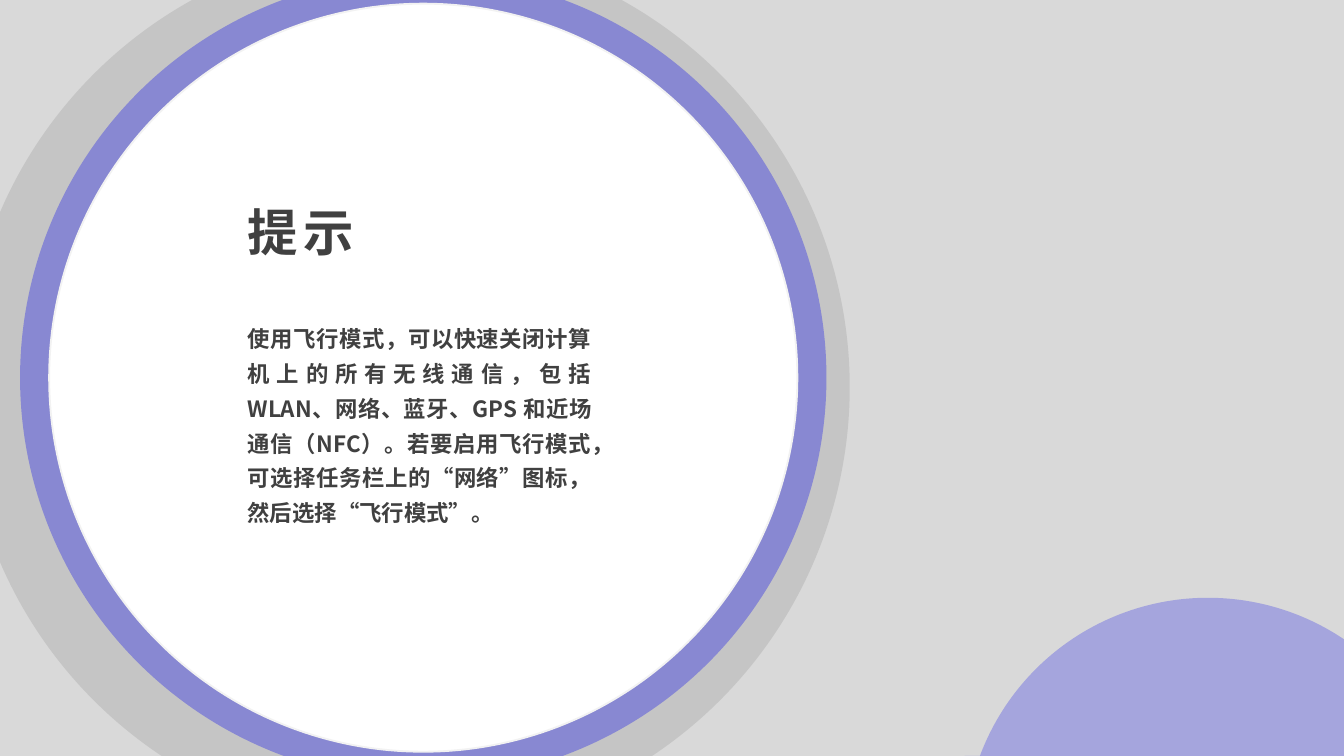
"""Build the flight mode tip slide with a large round panel."""
from dataclasses import dataclass
from math import acos, asin, cos, pi, sin, tan

from lxml.etree import SubElement
from pptx import Presentation
from pptx.dml.color import RGBColor as Color
from pptx.enum.shapes import MSO_SHAPE as Shape
from pptx.enum.text import PP_ALIGN as Align
from pptx.oxml.ns import qn
from pptx.util import Cm, Pt


@dataclass(frozen=True)
class Theme:
    font: str = "Noto Sans CJK SC"
    text: str = "404040"
    title_size: int = 27
    body_size: int = 12
    backdrop: str = "D9D9D9"
    shade: str = "7F7F7F"
    ring: str = "8888D2"
    corner: str = "A5A5DD"
    panel: str = "FFFFFF"
    panel_edge: str = "F2F2F2"


THEME = Theme()
WIDTH, HEIGHT = 25.4, 14.29

TITLE = "提示"
BODY = (
    "使用飞行模式，可以快速关闭计算机上的所有无线通信，包括WLAN、网络、蓝牙、GPS 和近场通信（NFC）。"
    "若要启用飞行模式，可选择任务栏上的“网络”图标，然后选择“飞行模式”。"
)
DISCS = [
    {"center": (7.69, 7.32), "radius": 8.37, "color": THEME.shade, "alpha": 22},
    {"center": (8, 7.14), "radius": 7.62, "color": THEME.ring},
    {"center": (22.83, 15.9), "radius": 4.6, "color": THEME.corner},
]
PANEL = {"center": (8, 7.14), "radius": 7.07}
TEXTS = [
    {"text": BODY, "at": (4.5, 5.89, 6.86, 5.38), "size": THEME.body_size,
     "align": Align.JUSTIFY, "line": 1.3, "wrap": True},
    {"text": TITLE, "at": (4.5, 3.71, 7.57, 1.3), "size": THEME.title_size,
     "align": Align.LEFT, "line": 1, "wrap": False, "tracking": 300},
]


def paint(shape, color, alpha=100):
    shape.shadow.inherit = False
    shape.fill.solid()
    shape.fill.fore_color.rgb = Color.from_string(color)
    shape.line.fill.background()
    if alpha < 100:
        tone = shape.fill._xPr.find(qn("a:solidFill"))[0]
        SubElement(tone, qn("a:alpha"), val=str(alpha * 1000))


def arc_angles(center, radius):
    angles = {step * pi / 4 for step in range(9)}
    for edge in (0, WIDTH):
        ratio = (edge - center[0]) / radius
        if abs(ratio) < 1:
            angles |= {acos(ratio), 2 * pi - acos(ratio)}
    for edge in (0, HEIGHT):
        ratio = (edge - center[1]) / radius
        if abs(ratio) < 1:
            angles |= {asin(ratio) % (2 * pi), pi - asin(ratio)}
    return sorted(angles)


def clipped_outline(center, radius):
    def on_circle(angle):
        return center[0] + radius * cos(angle), center[1] + radius * sin(angle)

    def clip(point):
        return min(max(point[0], 0), WIDTH), min(max(point[1], 0), HEIGHT)

    angles = arc_angles(center, radius)
    start = clip(on_circle(angles[0]))
    pieces = []
    for first, last in zip(angles, angles[1:]):
        middle = on_circle((first + last) / 2)
        end = clip(on_circle(last))
        if middle == clip(middle):
            pull = 4 / 3 * tan((last - first) / 4) * radius
            (x1, y1), (x2, y2) = on_circle(first), on_circle(last)
            pieces.append([(x1 - pull * sin(first), y1 + pull * cos(first)),
                           (x2 + pull * sin(last), y2 - pull * cos(last)), end])
        else:
            pieces.append([end])
    return start, pieces


def add_clipped_disc(page, center, radius, color, alpha=100):
    start, pieces = clipped_outline(center, radius)
    points = [(Cm(x), Cm(y)) for piece in pieces for x, y in piece]
    builder = page.shapes.build_freeform(*map(Cm, start))
    builder.add_line_segments(points, close=True)
    disc = builder.convert_to_shape()
    outline = disc._element.find(".//" + qn("a:path"))
    lines = iter(outline.findall(qn("a:lnTo")))
    for piece in pieces:
        group = [next(lines) for _ in piece]
        if len(group) == 3:
            curve = outline.makeelement(qn("a:cubicBezTo"))
            group[0].addprevious(curve)
            for line in group:
                curve.append(line[0])
                outline.remove(line)
    paint(disc, color, alpha)


def add_panel(page, center, radius):
    left, top = (value - radius for value in center)
    panel = page.shapes.add_shape(
        Shape.OVAL, Cm(left), Cm(top), Cm(2 * radius), Cm(2 * radius))
    paint(panel, THEME.panel)
    panel.line.color.rgb = Color.from_string(THEME.panel_edge)
    panel.line.width = Pt(1)


def add_text(page, text, at, size, align, line, wrap, tracking=0):
    frame = page.shapes.add_textbox(*map(Cm, at)).text_frame
    frame.word_wrap = wrap
    frame.margin_left = frame.margin_right = Cm(0.18)
    frame.margin_top = frame.margin_bottom = Cm(0.1)
    para = frame.paragraphs[0]
    para.text = text
    para.alignment = align
    para.line_spacing = float(line)
    font = para.font
    font.name = THEME.font
    font.size = Pt(size)
    font.bold = True
    font.color.rgb = Color.from_string(THEME.text)
    SubElement(font._element, qn("a:ea"), typeface=THEME.font)
    if tracking:
        font._element.set("spc", str(tracking))


def main():
    deck = Presentation()
    deck.slide_width, deck.slide_height = Cm(WIDTH), Cm(HEIGHT)
    page = deck.slides.add_slide(deck.slide_layouts[6])
    backdrop = page.shapes.add_shape(Shape.RECTANGLE, 0, 0, Cm(WIDTH), Cm(HEIGHT))
    paint(backdrop, THEME.backdrop)
    for disc in DISCS:
        add_clipped_disc(page, **disc)
    add_panel(page, **PANEL)
    for block in TEXTS:
        add_text(page, **block)
    deck.save("out.pptx")


if __name__ == "__main__":
    main()
